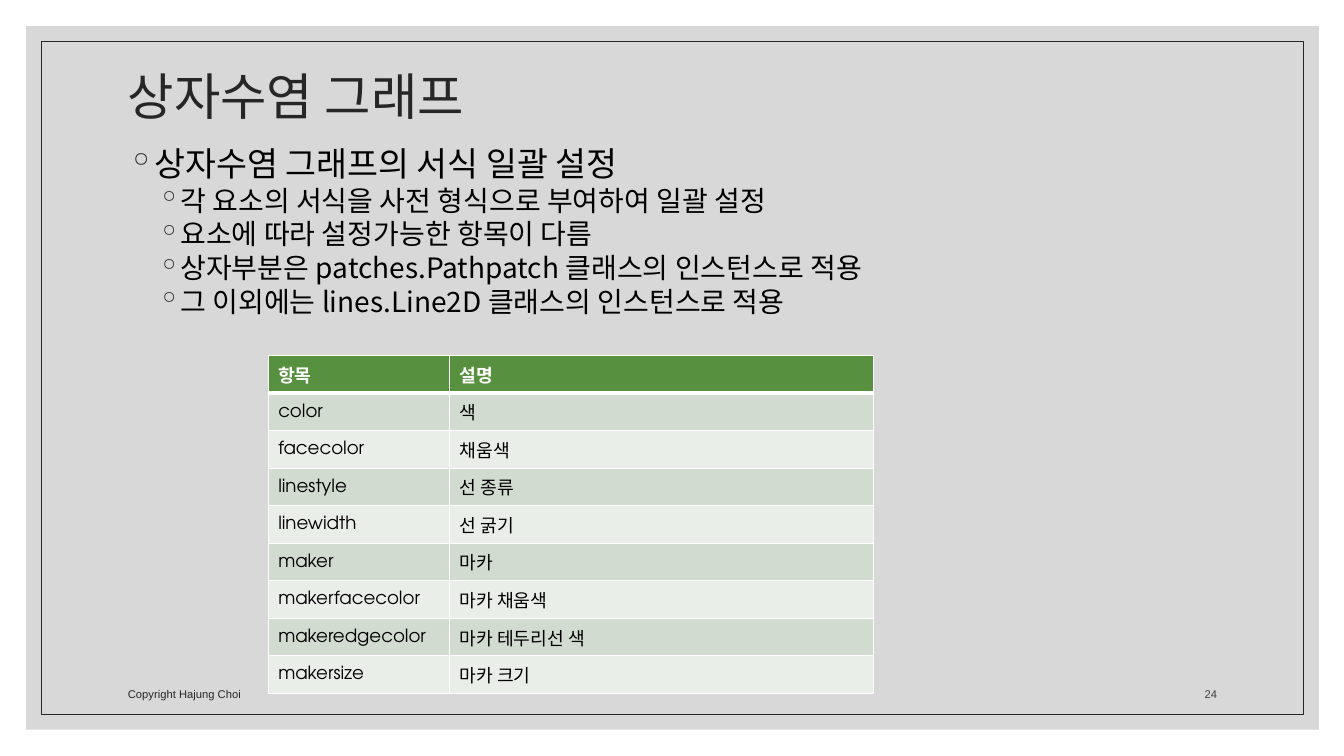
from lxml import etree
from pptx import Presentation
from pptx.dml.color import RGBColor
from pptx.enum.shapes import MSO_SHAPE
from pptx.enum.text import MSO_ANCHOR, PP_ALIGN
from pptx.oxml.ns import qn
from pptx.util import Inches, Pt

RECTANGLE = MSO_SHAPE.RECTANGLE
TOP, MIDDLE, BOTTOM = MSO_ANCHOR.TOP, MSO_ANCHOR.MIDDLE, MSO_ANCHOR.BOTTOM
LEFT, RIGHT = PP_ALIGN.LEFT, PP_ALIGN.RIGHT

TITLE = "상자수염 그래프"
BODY = [
    (0, "상자수염 그래프의 서식 일괄 설정"),
    (1, "각 요소의 서식을 사전 형식으로 부여하여 일괄 설정"),
    (1, "요소에 따라 설정가능한 항목이 다름"),
    (1, "상자부분은 patches.Pathpatch 클래스의 인스턴스로 적용"),
    (1, "그 이외에는 lines.Line2D 클래스의 인스턴스로 적용"),
]
PROPERTIES = [
    ("항목", "설명"),
    ("color", "색"),
    ("facecolor", "채움색"),
    ("linestyle", "선 종류"),
    ("linewidth", "선 굵기"),
    ("maker", "마카"),
    ("makerfacecolor", "마카 채움색"),
    ("makeredgecolor", "마카 테두리선 색"),
    ("makersize", "마카 크기"),
]
COPYRIGHT, PAGE_NUMBER = "Copyright Hajung Choi", "24"

THEME = {
    "panel": "BFBFBF", "dark": "262626", "muted": "404040",
    "black": "000000", "white": "FFFFFF",
    "header": "57903F", "bands": ("EAEEE8", "D1DBCF"),
    "plain_font": "Arial", "korean_font": "Noto Sans CJK KR",
    "table_font": "TeX Gyre Adventor",
    "title_size": 36, "body_sizes": (24, 20), "table_size": 13, "footer_size": 8,
}
BODY_INDENTS = (0.2, 0.5)
HANGING = 0.2
COLUMN_WIDTHS = (1.8, 4.2)
ROW_HEIGHT = 3.35 / len(PROPERTIES)


def color(value):
    return RGBColor.from_string(value)


def set_values(target, values):
    for name, value in values.items():
        setattr(target, name, value)


def add_run(paragraph, text, font_name, size, font_color, bold=False):
    run = paragraph.add_run()
    run.text = text
    set_values(run.font, {"name": font_name, "size": Pt(size), "bold": bold})
    run.font.color.rgb = color(font_color)
    east_asian = etree.SubElement(run.font._element, qn("a:ea"))
    east_asian.set("typeface", THEME["korean_font"])


def add_text_box(slide, box, anchor):
    frame = slide.shapes.add_textbox(*map(Inches, box)).text_frame
    set_values(frame, {"word_wrap": True, "vertical_anchor": anchor})
    return frame


def add_label(slide, box, anchor, alignment, text, *style):
    paragraph = add_text_box(slide, box, anchor).paragraphs[0]
    paragraph.alignment = alignment
    add_run(paragraph, text, *style)
    return paragraph


def add_rectangle(slide, box):
    shape = slide.shapes.add_shape(RECTANGLE, *map(Inches, box))
    shape.shadow.inherit = False
    return shape


def add_frame(slide):
    panel = add_rectangle(slide, (0.26, 0.26, 12.82, 6.98))
    panel.fill.solid()
    panel.fill.fore_color.rgb = color(THEME["panel"])
    panel.line.fill.background()
    fill_color = panel._element.spPr.find(".//" + qn("a:srgbClr"))
    etree.SubElement(fill_color, qn("a:alpha")).set("val", "60000")

    border = add_rectangle(slide, (0.41, 0.41, 12.52, 6.68))
    border.fill.background()
    border.line.color.rgb = color(THEME["dark"])
    border.line.width = Pt(0.5)


def add_bullet(paragraph, level):
    properties = paragraph._p.get_or_add_pPr()
    properties.set("marL", str(Inches(BODY_INDENTS[level])))
    properties.set("indent", str(-Inches(HANGING)))
    bullet_color = etree.SubElement(properties, qn("a:buClr"))
    etree.SubElement(bullet_color, qn("a:srgbClr")).set("val", THEME["dark"])
    etree.SubElement(properties, qn("a:buChar")).set("char", "◦")


def add_body(slide):
    frame = add_text_box(slide, (1.17, 1.37, 11, 5.14), TOP)
    for index, (level, text) in enumerate(BODY):
        paragraph = frame.add_paragraph() if index else frame.paragraphs[0]
        set_values(paragraph, {"level": level, "line_spacing": 1.0, "space_before": Pt(0)})
        add_bullet(paragraph, level)
        add_run(paragraph, text, THEME["korean_font"], THEME["body_sizes"][level], THEME["black"])


def add_cell_borders(cell, bottom_width):
    properties = cell._tc.get_or_add_tcPr()
    widths = {"a:lnL": 1, "a:lnR": 1, "a:lnT": 1, "a:lnB": bottom_width}
    for position, (side, width) in enumerate(widths.items()):
        line = etree.Element(qn(side), w=str(Pt(width)))
        fill = etree.SubElement(line, qn("a:solidFill"))
        etree.SubElement(fill, qn("a:srgbClr")).set("val", THEME["white"])
        properties.insert(position, line)


def add_properties_table(slide):
    table = slide.shapes.add_table(
        len(PROPERTIES), len(COLUMN_WIDTHS), Inches(2.66), Inches(3.53),
        Inches(sum(COLUMN_WIDTHS)), Inches(ROW_HEIGHT * len(PROPERTIES)),
    ).table
    for column, width in zip(table.columns, COLUMN_WIDTHS):
        column.width = Inches(width)
    for row_index, values in enumerate(PROPERTIES):
        table.rows[row_index].height = Inches(ROW_HEIGHT)
        is_header = row_index == 0
        fill = THEME["header"] if is_header else THEME["bands"][row_index % 2]
        text_color = THEME["white"] if is_header else THEME["black"]
        for column_index, text in enumerate(values):
            cell = table.cell(row_index, column_index)
            cell.vertical_anchor = MIDDLE
            cell.fill.solid()
            cell.fill.fore_color.rgb = color(fill)
            add_cell_borders(cell, 3 if is_header else 1)
            add_run(cell.text_frame.paragraphs[0], text, THEME["table_font"],
                    THEME["table_size"], text_color, is_header)


def main():
    presentation = Presentation()
    set_values(presentation, {"slide_width": Inches(13.33), "slide_height": Inches(7.5)})
    slide = presentation.slides.add_slide(presentation.slide_layouts[6])
    add_frame(slide)
    title = add_label(slide, (1.17, 0.7, 11, 0.56), MIDDLE, LEFT, TITLE,
                      THEME["plain_font"], THEME["title_size"], THEME["dark"])
    title.line_spacing = 0.9
    add_body(slide)
    add_label(slide, (1.17, 6.6, 6.36, 0.4), BOTTOM, LEFT, COPYRIGHT,
              THEME["plain_font"], THEME["footer_size"], THEME["dark"])
    add_label(slide, (11.25, 6.6, 0.92, 0.4), BOTTOM, RIGHT, PAGE_NUMBER,
              THEME["plain_font"], THEME["footer_size"], THEME["muted"])
    add_properties_table(slide)
    presentation.save("out.pptx")


if __name__ == "__main__":
    main()
